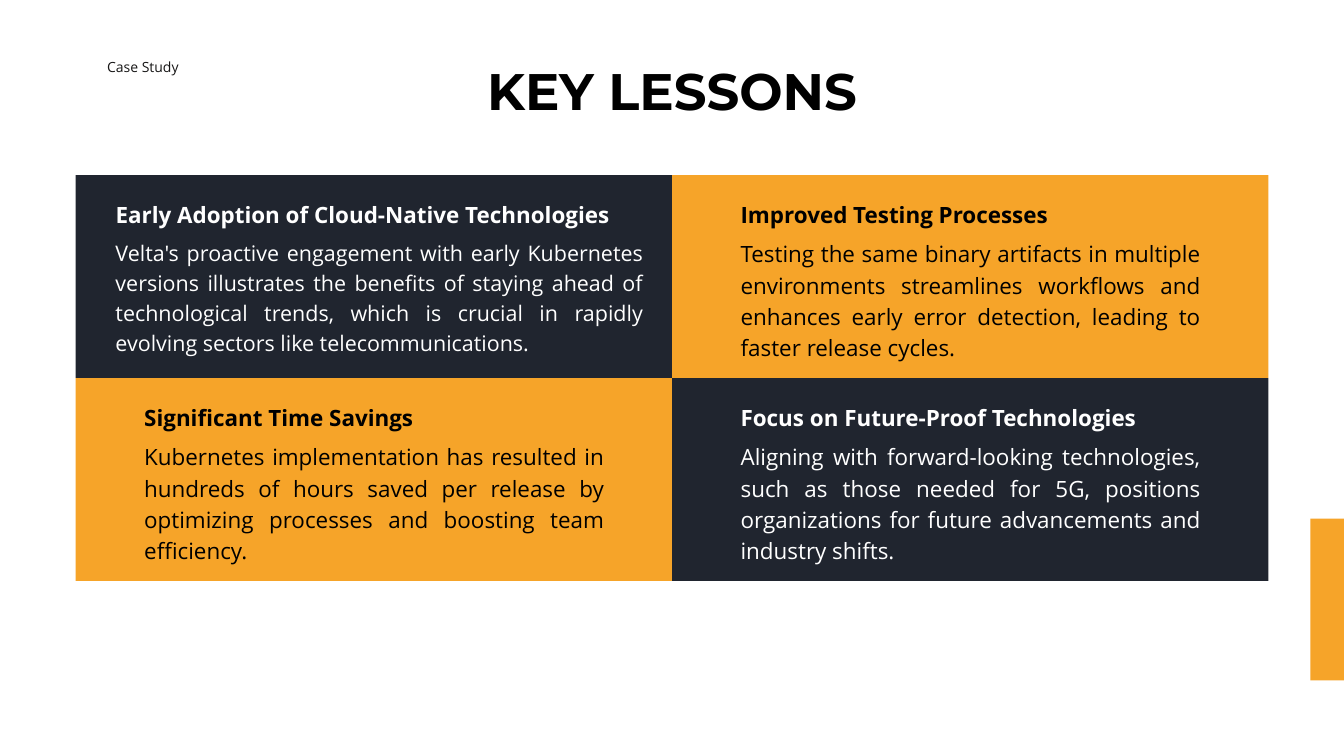
"""Build the Key Lessons slide: a title over a two-by-two grid of lessons."""
from dataclasses import dataclass

from pptx import Presentation
from pptx import util as u
from pptx.dml.color import RGBColor
from pptx.enum import shapes, text

PX = 9525


@dataclass(frozen=True)
class Theme:
    amber: str = "F6A429"
    navy: str = "20252F"
    black: str = "000000"
    white: str = "FFFFFF"
    label: str = "171616"
    body_font: str = "Open Sans"
    title_font: str = "Montserrat"
    label_size: int = 15
    small_size: int = 23
    body_size: int = 24
    title_size: int = 55


theme = Theme()


def add_block(left, top, width, height, color):
    sp = slide.shapes.add_shape(
        shapes.MSO_SHAPE.RECTANGLE, left * PX, top * PX, width * PX, height * PX)
    sp.shadow.inherit = False
    sp.fill.solid()
    sp.fill.fore_color.rgb = RGBColor.from_string(color)
    sp.line.fill.background()


def set_text(sp, box, words, size, color, align=text.PP_ALIGN.LEFT,
             bold=False, font=theme.body_font, leading=1.4):
    sp.left, sp.top, sp.width, sp.height = (n * PX for n in box)
    tf = sp.text_frame
    tf.margin_left = tf.margin_top = tf.margin_right = tf.margin_bottom = 0
    tf.word_wrap = True
    tf.auto_size = text.MSO_AUTO_SIZE.NONE
    tf.vertical_anchor = text.MSO_ANCHOR.TOP
    tf.text = words
    p = tf.paragraphs[0]
    p.alignment = align
    p.line_spacing = u.Pt(round(size * leading, 1))
    r = p.runs[0]
    r.font.name = font
    r.font.size = u.Pt(size)
    r.font.bold = bold
    r.font.color.rgb = RGBColor.from_string(color)


prs = Presentation()
prs.slide_width = 1920 * PX
prs.slide_height = 1080 * PX
slide = prs.slides.add_slide(prs.slide_layouts[5])

set_text(slide.shapes.title, (300, 78, 1320, 92), "KEY LESSONS",
         theme.title_size, theme.black, text.PP_ALIGN.CENTER, True,
         theme.title_font, 1.28)
add_block(1872, 741, 48, 231, theme.amber)
set_text(slide.shapes.add_textbox(0, 0, 0, 0), (153, 80, 248, 27), "Case Study",
         theme.label_size, theme.label)

GRID_LEFT, GRID_TOP, CELL_W, CELL_H = 108, 250, 852, 290
lessons = [
    ("Early Adoption of Cloud-Native Technologies",
     "Velta's proactive engagement with early Kubernetes versions illustrates "
     "the benefits of staying ahead of technological trends, which is crucial "
     "in rapidly evolving sectors like telecommunications.",
     57, 714, 755, theme.small_size),
    ("Improved Testing Processes",
     "Testing the same binary artifacts in multiple environments streamlines "
     "workflows and enhances early error detection, leading to faster release "
     "cycles.",
     98, 581, 657, theme.body_size),
    ("Significant Time Savings",
     "Kubernetes implementation has resulted in hundreds of hours saved per "
     "release by optimizing processes and boosting team efficiency.",
     98, 634, 657, theme.body_size),
    ("Focus on Future-Proof Technologies",
     "Aligning with forward-looking technologies, such as those needed for 5G, "
     "positions organizations for future advancements and industry shifts.",
     98, 581, 657, theme.body_size),
]

for i, (heading, body, inset, heading_w, body_w, size) in enumerate(lessons):
    row, col = divmod(i, 2)
    left = GRID_LEFT + col * CELL_W
    top = GRID_TOP + row * CELL_H
    if row == col:
        fill, ink = theme.navy, theme.white
    else:
        fill, ink = theme.amber, theme.black
    add_block(left, top, CELL_W, CELL_H, fill)
    set_text(slide.shapes.add_textbox(0, 0, 0, 0),
             (left + inset, top + 31, heading_w, 41), heading,
             theme.body_size, ink, bold=True)
    set_text(slide.shapes.add_textbox(0, 0, 0, 0),
             (left + inset, top + 87, body_w, 174), body,
             size, ink, text.PP_ALIGN.JUSTIFY)

prs.save("out.pptx")
